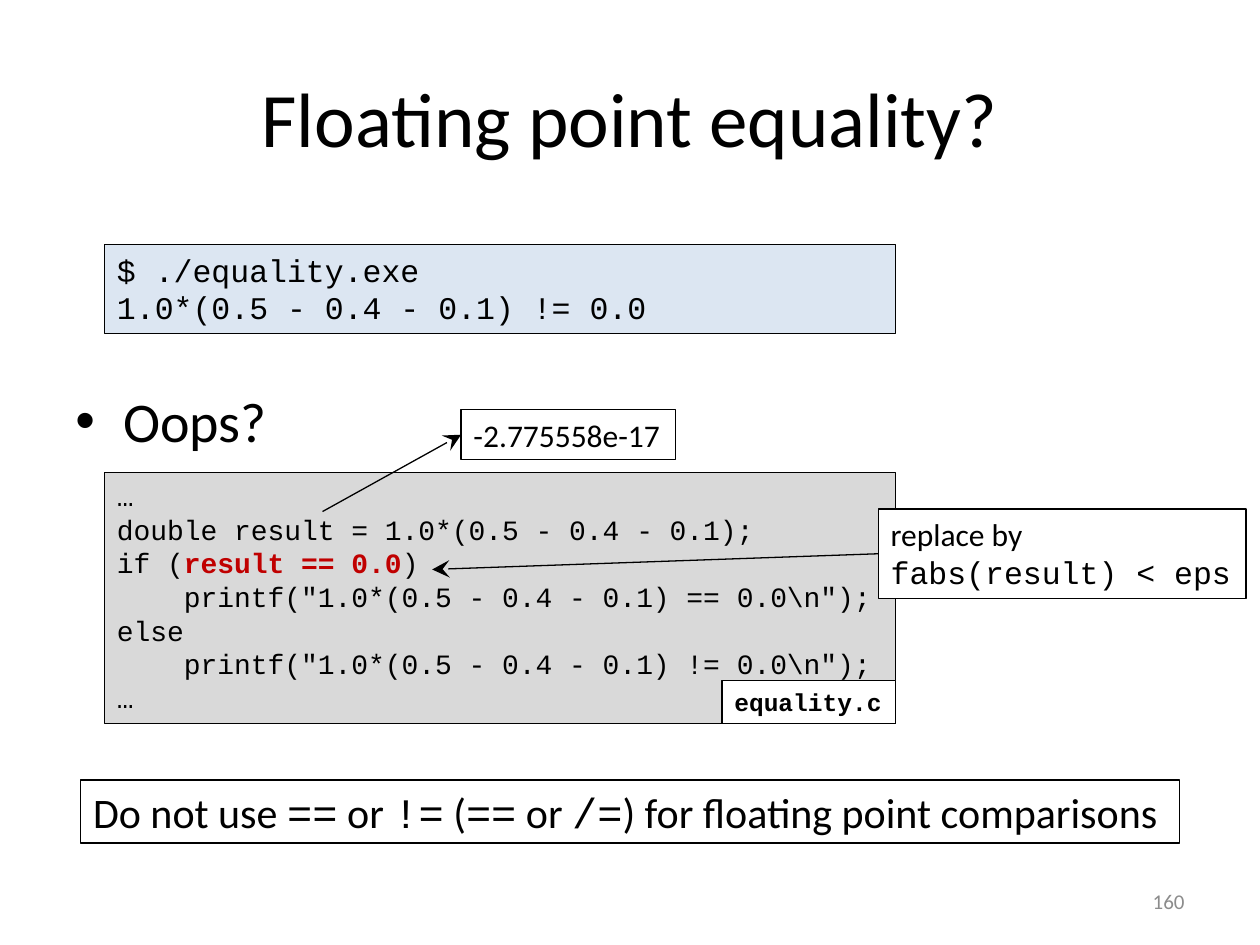
from lxml import etree
from pptx import Presentation
from pptx.dml.color import RGBColor
from pptx.enum.shapes import MSO_CONNECTOR, MSO_SHAPE
from pptx.enum.text import MSO_ANCHOR, MSO_AUTO_SIZE, PP_ALIGN
from pptx.oxml.ns import qn
from pptx.util import Inches, Pt

BLACK = RGBColor(0x00, 0x00, 0x00)
WHITE = RGBColor(0xFF, 0xFF, 0xFF)
BLUE = RGBColor(0xDC, 0xE6, 0xF2)
GRAY = RGBColor(0xD9, 0xD9, 0xD9)
RED = RGBColor(0xC0, 0x00, 0x00)
MUTED = RGBColor(0x8C, 0x8C, 0x8C)
SANS, MONO = "Calibri", "Courier New"
LEFT, CENTER, RIGHT = PP_ALIGN.LEFT, PP_ALIGN.CENTER, PP_ALIGN.RIGHT
TOP, MIDDLE = MSO_ANCHOR.TOP, MSO_ANCHOR.MIDDLE
FIT = MSO_AUTO_SIZE.SHAPE_TO_FIT_TEXT
RECT, STRAIGHT = MSO_SHAPE.RECTANGLE, MSO_CONNECTOR.STRAIGHT
LEFT_SIDE = 1

CODE_X, CODE_W = 0.83, 6.28
SHELL = ["$ ./equality.exe", "1.0*(0.5 - 0.4 - 0.1) != 0.0"]
CODE = [
    "…",
    "double result = 1.0*(0.5 - 0.4 - 0.1);",
    "if (result == 0.0)",
    r'    printf("1.0*(0.5 - 0.4 - 0.1) == 0.0\n");',
    "else",
    r'    printf("1.0*(0.5 - 0.4 - 0.1) != 0.0\n");',
    "…",
]
RULE = ["Do not use ", "==", " or ", "!=", " (", "==", " or ", "/=",
        ") for floating point comparisons"]


def style(font, size, name=SANS, color=BLACK, bold=False):
    font.size, font.name, font.bold = Pt(size), name, bold
    font.color.rgb = color


def add_runs(para, parts):
    """Fill a paragraph from (text, size, font[, colour, bold]) tuples."""
    for text, *look in parts:
        run = para.add_run()
        run.text = text
        style(run.font, *look)


def add_label(slide, place, text, size, align=LEFT, anchor=TOP, color=BLACK):
    box = slide.shapes.add_textbox(*map(Inches, place))
    frame = box.text_frame
    frame.word_wrap = True
    frame.vertical_anchor = anchor
    para = frame.paragraphs[0]
    para.alignment = align
    add_runs(para, [(text, size, SANS, color)])
    return para


def add_bullet(para):
    props = para._p.get_or_add_pPr()
    props.set("marL", str(Inches(0.38)))
    props.set("indent", str(-Inches(0.38)))
    etree.SubElement(props, qn("a:buFont")).set("typeface", "Arial")
    etree.SubElement(props, qn("a:buChar")).set("char", "•")


def add_box(slide, place, lines, fill=None, wrap=False):
    """Draw a framed box; each line is a list of run tuples."""
    box = slide.shapes.add_shape(RECT, *map(Inches, place))
    box.shadow.inherit = False
    if fill is None:
        box.fill.background()
    else:
        box.fill.solid()
        box.fill.fore_color.rgb = fill
    box.line.color.rgb = BLACK
    box.line.width = Pt(0.75)
    frame = box.text_frame
    frame.word_wrap = wrap
    frame.auto_size = FIT
    frame.vertical_anchor = TOP
    for num, parts in enumerate(lines):
        para = frame.add_paragraph() if num else frame.paragraphs[0]
        para.alignment = LEFT
        add_runs(para, parts)
    return box


def add_arrow(slide, start, end):
    line = slide.shapes.add_connector(STRAIGHT, *map(Inches, start + end))
    line.line.color.rgb = BLACK
    line.line.width = Pt(0.75)
    tail = etree.SubElement(line.line._get_or_add_ln(), qn("a:tailEnd"))
    for key, value in (("type", "stealth"), ("w", "lg"), ("len", "lg")):
        tail.set(key, value)
    etree.SubElement(line._element.spPr, qn("a:effectLst"))
    return line


def add_code(slide):
    lines = [[(text, 16, MONO)] for text in CODE]
    lines[2] = [("if (", 16, MONO), ("result == 0.0", 16, MONO, RED, True),
                (")", 16, MONO)]
    add_box(slide, (CODE_X, 3.75, CODE_W, 1.99), lines, GRAY)
    add_box(slide, (5.73, 5.4, 1.38, 0.34),
            [[("equality.c", 14, MONO, BLACK, True)]], WHITE)


def add_notes(slide):
    """Add the two remarks that arrows tie to the code."""
    value = add_box(slide, (3.66, 3.25, 1.7, 0.4),
                    [[("-2.775558e-17", 18, SANS)]])
    arrow = add_arrow(slide, (2.56, 4.06), (3.66, 3.45))
    arrow.end_connect(value, LEFT_SIDE)
    advice = add_box(slide, (6.97, 4.04, 2.92, 0.71),
                     [[("replace by", 18, SANS)],
                      [("fabs(result) < eps", 18, MONO)]], WHITE)
    arrow = add_arrow(slide, (6.97, 4.39), (3.43, 4.52))
    arrow.begin_connect(advice, LEFT_SIDE)


def main():
    deck = Presentation()
    deck.slide_width, deck.slide_height = Inches(10), Inches(7.5)
    slide = deck.slides.add_slide(deck.slide_layouts[6])
    add_label(slide, (0.5, 0.3, 9, 1.25), "Floating point equality?", 44,
              CENTER, MIDDLE)
    add_bullet(add_label(slide, (0.5, 3.02, 3, 0.64), "Oops?", 32))
    add_label(slide, (7.17, 6.95, 2.33, 0.4), "160", 12, RIGHT, MIDDLE, MUTED)
    add_box(slide, (CODE_X, 1.94, CODE_W, 0.71),
            [[(text, 18, MONO)] for text in SHELL], BLUE, True)
    add_code(slide)
    rule = [(text, 24, MONO if num % 2 else SANS)
            for num, text in enumerate(RULE)]
    add_box(slide, (0.64, 6.19, 8.72, 0.5), [rule])
    add_notes(slide)
    deck.save("out.pptx")


if __name__ == "__main__":
    main()
